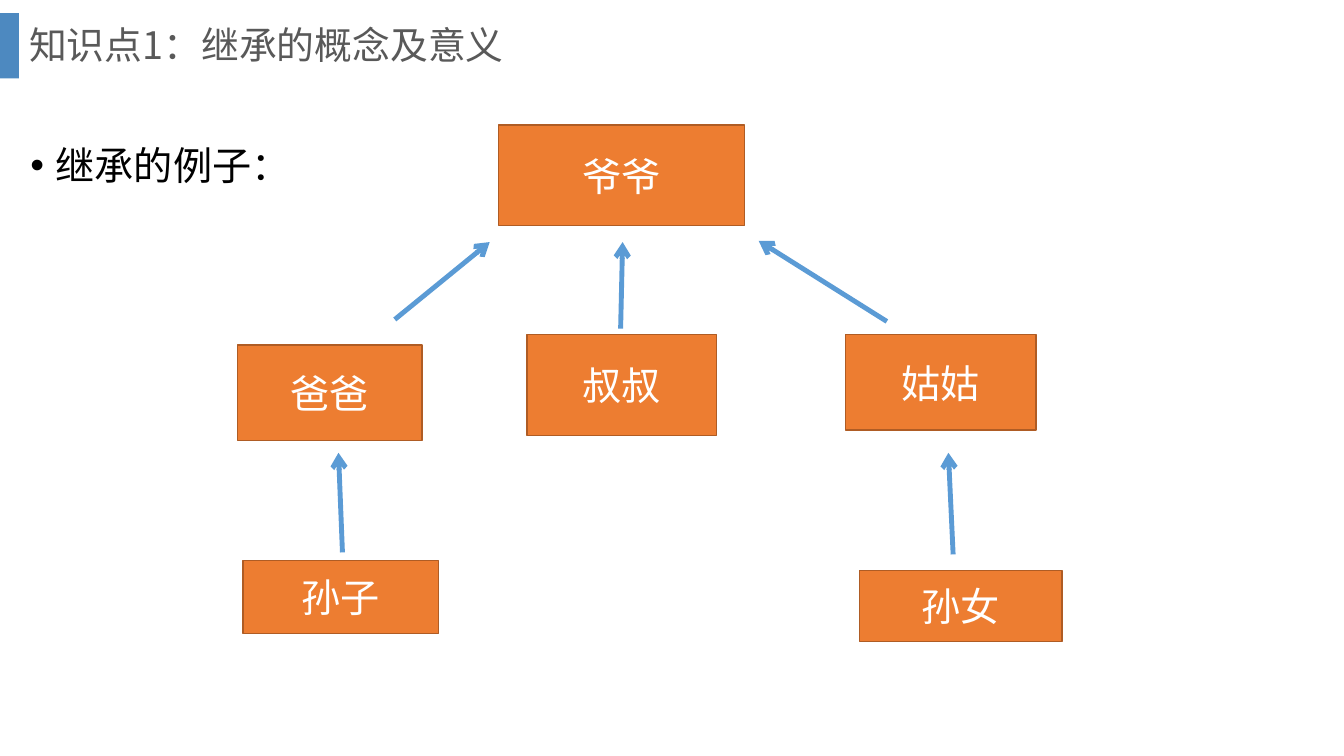
from dataclasses import dataclass

from lxml import etree
from pptx import Presentation
from pptx.dml.color import RGBColor
from pptx.enum.shapes import MSO_CONNECTOR, MSO_SHAPE
from pptx.enum.text import MSO_ANCHOR, MSO_AUTO_SIZE, PP_ALIGN
from pptx.oxml.ns import qn
from pptx.util import Cm, Pt

RECTANGLE = MSO_SHAPE.RECTANGLE
STRAIGHT = MSO_CONNECTOR.STRAIGHT
MIDDLE, TOP = MSO_ANCHOR.MIDDLE, MSO_ANCHOR.TOP
LEFT, CENTER = PP_ALIGN.LEFT, PP_ALIGN.CENTER
NO_AUTOFIT = MSO_AUTO_SIZE.NONE


@dataclass(frozen=True)
class Theme:
    font: str = "Noto Sans CJK SC"
    heading_size: float = 27
    text_size: float = 28
    heading: str = "595959"
    text: str = "000000"
    accent: str = "2E75B6"
    member: str = "ED7D31"
    member_edge: str = "AF5C24"
    member_text: str = "FFFFFF"
    arrow: str = "5B9BD5"


THEME = Theme()

MEMBERS = [
    ("爷爷", 6.58, 0, 6.2, 2.54),
    ("叔叔", 7.29, 5.28, 4.78, 2.54),
    ("爸爸", 0, 5.54, 4.65, 2.41),
    ("孙子", 0.13, 10.97, 4.93, 1.85),
    ("姑姑", 15.32, 5.28, 4.8, 2.41),
    ("孙女", 15.67, 11.23, 5.11, 1.78),
]
INHERITANCE = [
    (3.96, 4.9, 6.35, 2.95),
    (9.65, 5.13, 9.7, 2.95),
    (2.64, 10.77, 2.54, 8.26),
    (18.03, 10.82, 17.91, 8.26),
    (16.36, 4.95, 13.13, 2.92),
]


def apply(target, formats):
    for attribute, value in formats.items():
        setattr(target, attribute, value)


def place(placeholder, box):
    apply(placeholder, dict(zip(("left", "top", "width", "height"), map(Cm, box))))


def write(frame, text, size, color, frame_formats, paragraph_formats):
    apply(frame, {"word_wrap": True, "auto_size": NO_AUTOFIT, **frame_formats})
    paragraph = frame.paragraphs[0]
    apply(paragraph, {"space_before": Pt(0), **paragraph_formats})
    run = paragraph.add_run()
    run.text = text
    apply(run.font, {"name": THEME.font, "size": Pt(size), "bold": False})
    run.font.color.rgb = RGBColor.from_string(color)
    etree.SubElement(run.font._element, qn("a:ea"), typeface=THEME.font)
    return paragraph


def add_box(slide, box, color):
    shape = slide.shapes.add_shape(RECTANGLE, *map(Cm, box))
    shape.shadow.inherit = False
    shape.fill.solid()
    shape.fill.fore_color.rgb = RGBColor.from_string(color)
    return shape


def add_heading(slide, box):
    left, top, width, height = box
    bar_width = 0.48
    bar = add_box(slide, (left, top + 0.33, bar_width, 1.65), THEME.accent)
    bar.line.fill.background()
    fill_color = bar._element.spPr.find(f".//{qn('a:srgbClr')}")
    etree.SubElement(fill_color, qn("a:alpha"), val="85000")
    title = slide.shapes.title
    place(title, (left + bar_width, top, width - bar_width, height))
    write(title.text_frame, "知识点1：继承的概念及意义", THEME.heading_size,
          THEME.heading, {"vertical_anchor": MIDDLE},
          {"alignment": LEFT, "line_spacing": 0.9})


def add_topic(slide, box):
    body = slide.placeholders[1]
    place(body, box)
    paragraph = write(body.text_frame, "继承的例子：", THEME.text_size, THEME.text,
                      {"vertical_anchor": TOP, "margin_top": Cm(0.48)},
                      {"alignment": LEFT, "line_spacing": 1.5})
    properties = paragraph._p.get_or_add_pPr()
    indent = Cm(0.64)
    properties.set("marL", str(indent))
    properties.set("indent", str(-indent))
    etree.SubElement(properties, qn("a:buFont"), typeface="Arial")
    etree.SubElement(properties, qn("a:buChar"), char="•")


def add_member(slide, name, box):
    member = add_box(slide, box, THEME.member)
    member.line.color.rgb = RGBColor.from_string(THEME.member_edge)
    member.line.width = Pt(1)
    write(member.text_frame, name, THEME.text_size, THEME.member_text,
          {"vertical_anchor": MIDDLE}, {"alignment": CENTER})


def add_arrow(slide, ends):
    arrow = slide.shapes.add_connector(STRAIGHT, *map(Cm, ends))
    arrow.line.color.rgb = RGBColor.from_string(THEME.arrow)
    arrow.line.width = Pt(3.5)
    etree.SubElement(arrow.line._get_or_add_ln(), qn("a:tailEnd"), type="arrow")
    etree.SubElement(arrow._element.spPr, qn("a:effectLst"))


def add_family_tree(slide, box):
    left, top = box[:2]
    for name, x, y, width, height in MEMBERS:
        add_member(slide, name, (left + x, top + y, width, height))
    for x1, y1, x2, y2 in INHERITANCE:
        add_arrow(slide, (left + x1, top + y1, left + x2, top + y2))


def main():
    presentation = Presentation()
    apply(presentation, {"slide_width": Cm(33.87), "slide_height": Cm(19.05)})
    slide = presentation.slides.add_slide(presentation.slide_layouts[1])
    add_heading(slide, (0, 0, 32.64, 2.36))
    add_topic(slide, (0.51, 2.49, 32.77, 15.14))
    add_family_tree(slide, (5.99, 3.15, 20.78, 13.01))
    presentation.save("out.pptx")


if __name__ == "__main__":
    main()
